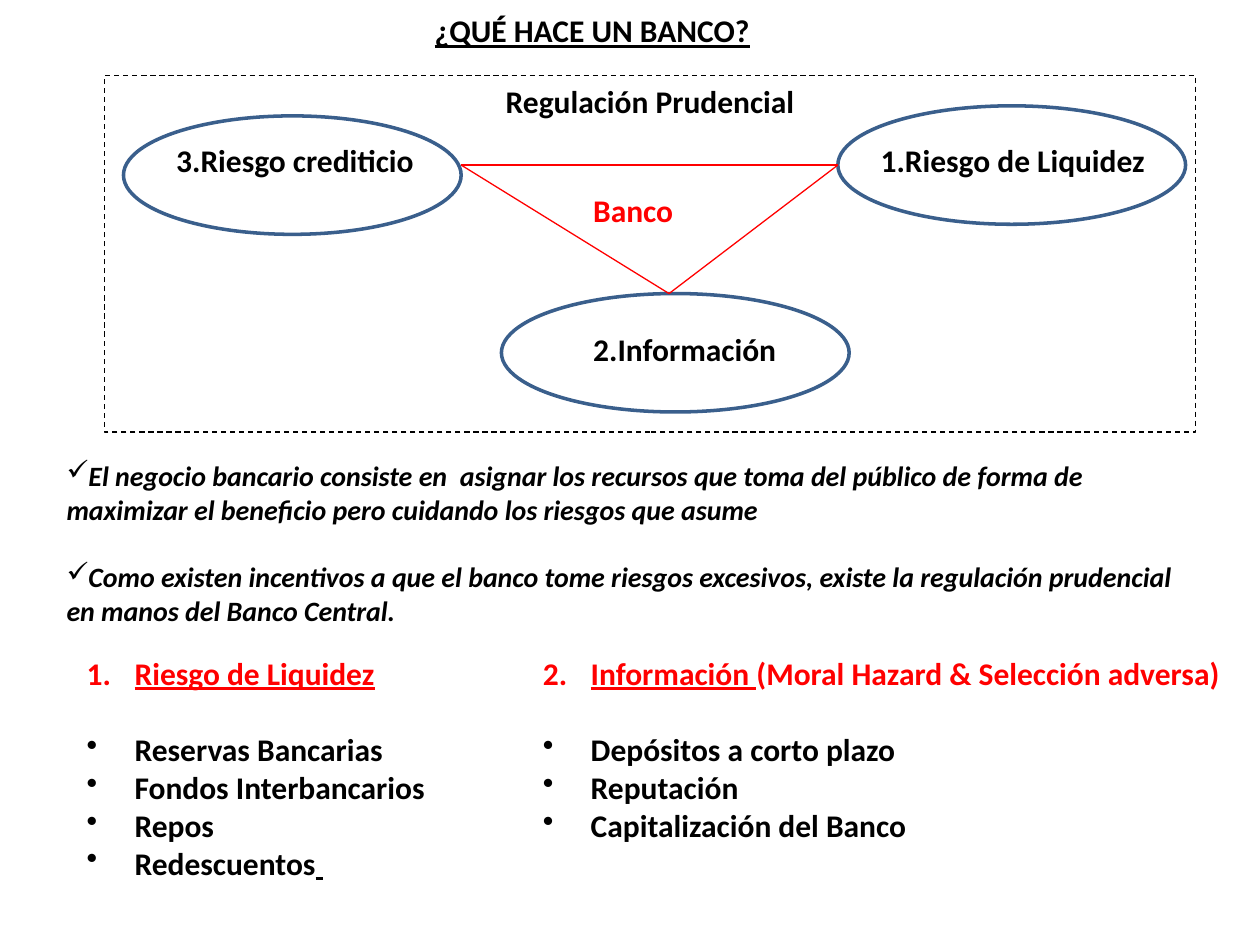
from lxml import etree
from pptx import Presentation
from pptx.dml.color import RGBColor
from pptx.enum.dml import MSO_LINE
from pptx.enum.shapes import MSO_CONNECTOR, MSO_SHAPE
from pptx.enum.text import MSO_ANCHOR, PP_ALIGN
from pptx.oxml.ns import qn
from pptx.util import Inches, Pt

TOP = MSO_ANCHOR.TOP
LEFT, CENTER = PP_ALIGN.LEFT, PP_ALIGN.CENTER
RECTANGLE, OVAL = MSO_SHAPE.RECTANGLE, MSO_SHAPE.OVAL
STRAIGHT = MSO_CONNECTOR.STRAIGHT
DASH = MSO_LINE.DASH
TITLE_ONLY = 5
WIDTH, HEIGHT = Inches(10), Inches(7.5)
COLUMNS, ROWS = 100, 75
BLACK, RED, BLUE = "000000", "FF0000", "3A5F8C"
BULLET = ("buChar", {"char": "•"})
CHECK = ("buChar", {"char": "✓"})


def color(value):
    """Turn a hex string into a colour."""
    return RGBColor.from_string(value)


def grid(*lengths):
    """Turn alternating columns and rows into slide lengths."""
    units = (WIDTH / COLUMNS, HEIGHT / ROWS)
    return [round(length * units[i % 2]) for i, length in enumerate(lengths)]


def number(start):
    """Describe automatic numbering that begins at a given number."""
    return "buAutoNum", {"type": "arabicPeriod", "startAt": str(start)}


def add_bullet(para, bullet, indent):
    """Give a paragraph a bullet and a hanging indent."""
    tag, attributes = bullet
    properties = para._p.get_or_add_pPr()
    properties.set("marL", str(Inches(indent)))
    properties.set("indent", str(-Inches(indent)))
    etree.SubElement(properties, qn("a:" + tag), attributes)


def write(para, text, hue=BLACK, size=18, italic=False, align=LEFT):
    """Fill a paragraph with bold text, underlining what stands between bars."""
    para.alignment = align
    font = para.font
    font.name, font.size, font.bold, font.italic = "Calibri", Pt(size), True, italic
    font.color.rgb = color(hue)
    for index, part in enumerate(text.split("|")):
        if part:
            span = para.add_run()
            span.text = part
            if index % 2:
                span.font.underline = True


def add_text(page, place, wrap=True):
    """Add an empty text box and return its frame."""
    frame = page.shapes.add_textbox(*grid(*place)).text_frame
    frame.word_wrap = wrap
    return frame


def add_label(page, place, text, hue=BLACK, wrap=True):
    """Add a one-line label."""
    write(add_text(page, place, wrap).paragraphs[0], text, hue)


def add_outline(page, kind, place, hue, width):
    """Add an unfilled shape with a coloured outline."""
    shape = page.shapes.add_shape(kind, *grid(*place))
    shape.shadow.inherit = False
    shape.fill.background()
    shape.line.color.rgb = color(hue)
    shape.line.width = Pt(width)
    return shape


def add_edge(page, start, end):
    """Draw a thin red line between two grid points."""
    edge = page.shapes.add_connector(STRAIGHT, *grid(*start, *end))
    edge.line.color.rgb = color(RED)
    edge.line.width = Pt(0.75)
    etree.SubElement(edge._element.spPr, qn("a:effectLst"))


def add_list(page, place, heading, start, items):
    """Add a numbered red heading with bulleted items below it."""
    frame = add_text(page, place)
    para = frame.paragraphs[0]
    add_bullet(para, number(start), 0.38)
    write(para, heading, RED)
    for index, item in enumerate(items):
        para = frame.add_paragraph()
        if index == 0:
            para.space_before = Pt(22)
        add_bullet(para, BULLET, 0.38)
        write(para, item)


def add_statements(page, place, statements):
    """Add checked statements in italics."""
    frame = add_text(page, place)
    for index, statement in enumerate(statements):
        para = frame.add_paragraph() if index else frame.paragraphs[0]
        if index:
            para.space_before = Pt(19.5)
        add_bullet(para, CHECK, 0)
        write(para, statement, size=16, italic=True)


def add_title(page, place, text):
    """Move the title placeholder and write the title."""
    title = page.shapes.title
    title.left, title.top, title.width, title.height = grid(*place)
    title.text_frame.vertical_anchor = TOP
    write(title.text_frame.paragraphs[0], text)


def add_diagram(page):
    """Draw the three risks around the bank inside the regulation frame."""
    frame = add_outline(page, RECTANGLE, (8.3, 6, 86.6, 28.3), BLACK, 0.75)
    frame.line.dash_style = DASH
    frame.text_frame.vertical_anchor = TOP
    write(frame.text_frame.paragraphs[0], "Regulación Prudencial", align=CENTER)
    risks = [
        ((9.8, 9.2, 26.8, 9.4), (13, 10.7, 22, 4), "3.Riesgo crediticio"),
        ((66.5, 8.4, 27.6, 9.4), (68.9, 10.7, 25.2, 4), "1.Riesgo de Liquidez"),
        ((39.8, 23.3, 27.6, 9.4), (46.1, 25.7, 22, 4), "2.Información"),
    ]
    for oval, label, text in risks:
        add_outline(page, OVAL, oval, BLUE, 2)
        add_label(page, label, text)
    credit, liquidity, information = (36.6, 13.1), (66.5, 13.1), (53.1, 23.3)
    add_edge(page, credit, liquidity)
    add_edge(page, credit, information)
    add_edge(page, information, liquidity)
    add_label(page, (46.1, 14.7, 8.4, 4), "Banco", RED, wrap=False)


def main():
    """Build the slide and save it."""
    deck = Presentation()
    deck.slide_width, deck.slide_height = WIDTH, HEIGHT
    page = deck.slides.add_slide(deck.slide_layouts[TITLE_ONLY])
    add_title(page, (33.5, 0.4, 33.1, 4), "|¿QUÉ HACE UN BANCO?|")
    add_diagram(page)
    add_list(page, (5.9, 51.4, 30.7, 19.2), "|Riesgo de Liquidez|", 1,
             ["Reservas Bancarias", "Fondos Interbancarios", "Repos",
              "Redescuentos| |"])
    add_list(page, (42.1, 51.4, 57.9, 19.2),
             "|Información |(Moral Hazard & Selección adversa)", 2,
             ["Depósitos a corto plazo", "Reputación", "Capitalización del Banco"])
    add_statements(page, (4.3, 35.9, 91.3, 14.5), [
        "El negocio bancario consiste en  asignar los recursos que toma del público "
        "de forma de maximizar el beneficio pero cuidando los riesgos que asume",
        "Como existen incentivos a que el banco tome riesgos excesivos, existe la "
        "regulación prudencial en manos del Banco Central.",
    ])
    deck.save("out.pptx")


if __name__ == "__main__":
    main()
